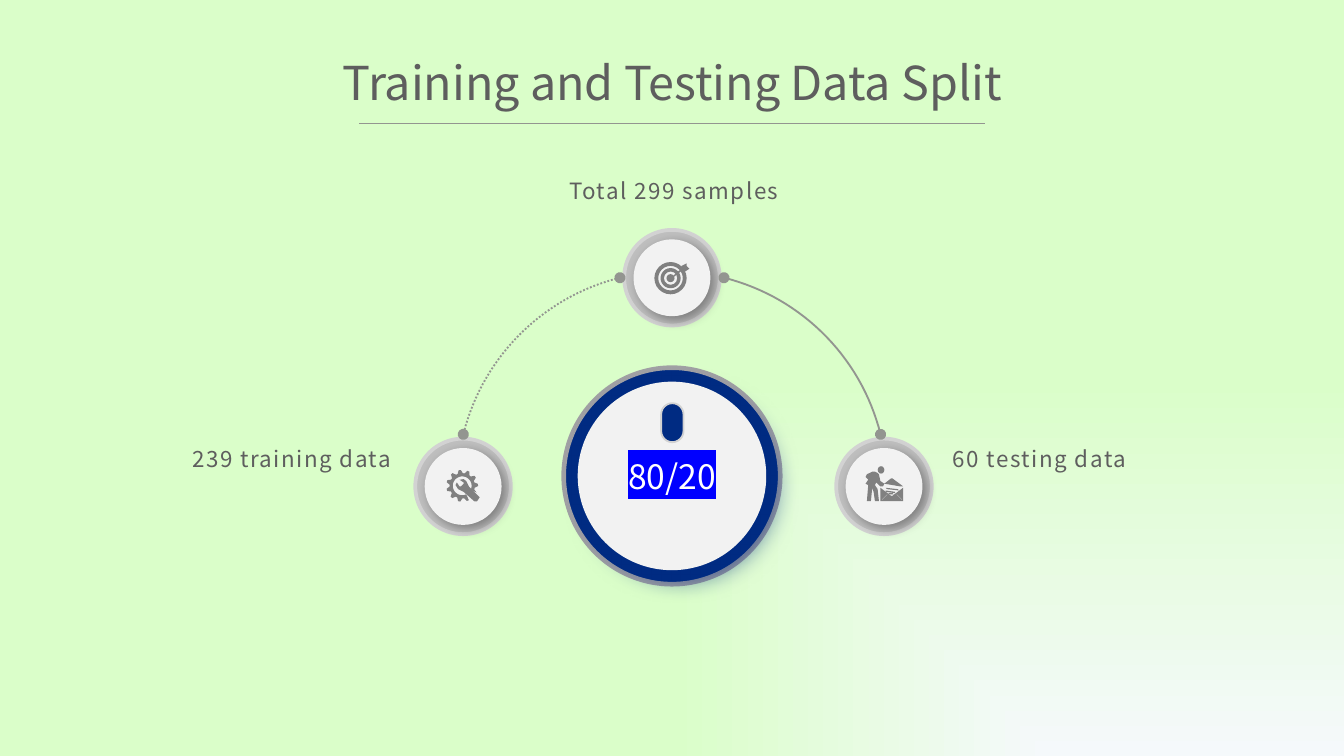
import math

from pptx import Presentation
from pptx.dml.color import RGBColor
from pptx.enum import dml, shapes, text
from pptx.oxml import ns, parse_xml
from pptx.util import Pt

COLORS = {
    "mist": "F5F9FB", "mint": "DAFEC9", "ink": "5E5E5E", "rule": "939590",
    "navy": "002B82", "disc": "F2F2F2", "ring": "BFBFBF", "icon": "808080",
    "big_edge": "A0A0A4", "small_edge": "D2D2D2", "shade": "595959",
    "white": "FFFFFF", "mark": "0000FF",
}
FONT = "Noto Sans CJK SC"
ICON_UNIT = 0.72
KIND = shapes.MSO_SHAPE
ALIGN = text.PP_ALIGN


def color(name):
    return RGBColor.from_string(COLORS[name])


def element(markup):
    head, space, rest = markup.partition(" ")
    return parse_xml(f"{head} {ns.nsdecls('a')} {rest}")


def paint(shape, fill, edge=None, width=0):
    shape.shadow.inherit = False
    if fill:
        shape.fill.solid()
        shape.fill.fore_color.rgb = color(fill)
    else:
        shape.fill.background()
    if edge:
        shape.line.color.rgb = color(edge)
        shape.line.width = Pt(width)
    else:
        shape.line.fill.background()
    return shape


def add_form(parent, kind, box, fill, edge=None, width=0):
    shape = parent.shapes.add_shape(kind, *map(Pt, box))
    return paint(shape, fill, edge, width)


def add_outline(parent, contours, closed=True):
    builder = None
    for contour in contours:
        points = [(Pt(x), Pt(y)) for x, y in contour]
        if builder is None:
            builder = parent.shapes.build_freeform(*points[0])
        else:
            builder.move_to(*points[0])
        builder.add_line_segments(points[1:], close=closed)
    return builder.convert_to_shape()


def add_shadow(shape, name, blur, distance):
    effects = shape.element.spPr.find(ns.qn("a:effectLst"))
    effects.append(element(
        f'<a:outerShdw blurRad="{Pt(blur)}" dist="{Pt(distance)}" dir="2700000" algn="tl" rotWithShape="0">'
        f'<a:srgbClr val="{COLORS[name]}"><a:alpha val="64000"/></a:srgbClr></a:outerShdw>'))


def style_text(para, size, name, align):
    para.alignment = align
    span = para.runs[0]
    span.font.name = FONT
    span.font.size = Pt(size)
    span.font.color.rgb = color(name)
    return span


def add_text(page, box, words, size, align, margins=(0, 0), spacing=0):
    label = page.shapes.add_textbox(*map(Pt, box))
    frame = label.text_frame
    frame.word_wrap = True
    frame.margin_left = frame.margin_right = Pt(margins[0])
    frame.margin_top = frame.margin_bottom = Pt(margins[1])
    frame.text = words
    span = style_text(frame.paragraphs[0], size, "ink", align)
    if spacing:
        span.font._element.set("spc", str(spacing))


def draw_background(page):
    fill = page.background.fill
    fill.gradient()
    for stop, name in zip(fill.gradient_stops, ("mist", "mint")):
        stop.color.rgb = color(name)
    direction = next(page.element.iter(ns.qn("a:lin")))
    direction.getparent().replace(direction, element(
        '<a:path path="rect"><a:fillToRect l="100000" t="100000"/></a:path>'.replace("<a:path ", "<a:path ", 1)))


def draw_title(page, box):
    left, top, width, height = box
    add_text(page, box, "Training and Testing Data Split", 25, ALIGN.CENTER)
    middle, half, base = left + width / 2, 167.8, top + height
    rule = page.shapes.add_connector(
        shapes.MSO_CONNECTOR.STRAIGHT, Pt(middle - half), Pt(base), Pt(middle + half), Pt(base))
    rule.line.color.rgb = color("rule")
    rule.line.width = Pt(0.75)
    rule.element.spPr.append(element("<a:effectLst />"))


def draw_dial(page, box):
    left, top, size, _ = box
    dial = page.shapes.add_group_shape()
    add_form(dial, KIND.OVAL, box, "navy", "big_edge", 2.5)
    inset = 7.5
    face = add_form(dial, KIND.OVAL, (left + inset, top + inset, size - 2 * inset, size - 2 * inset), "disc")
    add_shadow(face, "navy", 13, 7)
    frame = face.text_frame
    frame.vertical_anchor = text.MSO_ANCHOR.MIDDLE
    frame.text = "80/20"
    span = style_text(frame.paragraphs[0], 18, "white", ALIGN.CENTER)
    fill = span.font._element.find(ns.qn("a:solidFill"))
    fill.addnext(element(f'<a:highlight ><a:srgbClr val="{COLORS["mark"]}"/></a:highlight>'))


def draw_pointer(page, box):
    add_form(page, KIND.ROUNDED_RECTANGLE, box, "navy", "small_edge", 1).adjustments[0] = 0.5


def draw_node(page, box):
    left, top, size, _ = box
    node = page.shapes.add_group_shape()
    inset = 5
    rim = add_form(node, KIND.ROUNDED_RECTANGLE, box, "ring", "small_edge", 2)
    face = add_form(node, KIND.ROUNDED_RECTANGLE,
                    (left + inset, top + inset, size - 2 * inset, size - 2 * inset), "disc")
    rim.adjustments[0] = face.adjustments[0] = 0.5
    add_shadow(face, "shade", 6, 3)


def draw_arc(page, center, radius, start, dash=None):
    angles = [math.radians(start + 2 * step) for step in range(32)]
    points = [(center[0] + radius * math.cos(a), center[1] + radius * math.sin(a)) for a in angles]
    arc = paint(add_outline(page, [points], closed=False), None, "rule", 1)
    if dash:
        arc.line.dash_style = dash
    line = arc.element.spPr.find(ns.qn("a:ln"))
    for end in ("headEnd", "tailEnd"):
        line.append(element(f'<a:{end} type="oval"/>'))


def icon_outline(icon, origin, *contours):
    placed = [[(origin[0] + x * ICON_UNIT, origin[1] + y * ICON_UNIT) for x, y in contour]
              for contour in contours]
    paint(add_outline(icon, placed), "icon")


def icon_form(icon, origin, kind, box):
    x, y, width, height = (value * ICON_UNIT for value in box)
    return add_form(icon, kind, (origin[0] + x, origin[1] + y, width, height), "icon")


def draw_target(page, origin):
    icon = page.shapes.add_group_shape()
    for radius, thickness in ((12, 0.12), (7.5, 0.17)):
        ring = icon_form(icon, origin, KIND.DONUT, (12 - radius, 12 - radius, 2 * radius, 2 * radius))
        ring.adjustments[0] = thickness
    icon_form(icon, origin, KIND.OVAL, (9, 9, 6, 6))
    icon_outline(icon, origin, [(12, 12), (20, 5), (20, 3), (24, 1), (24, 3), (26, 5),
                                (23, 7), (21, 6), (12, 13)])


def draw_gear(page, origin):
    icon = page.shapes.add_group_shape()

    def spoke(step, radius):
        angle = math.radians(65 + 8 * step)
        return 12 + radius * math.cos(angle), 11.5 + radius * math.sin(angle)

    outer = [spoke(step, 11.8 if step % 4 < 2 else 9.4) for step in range(41)]
    inner = [spoke(step, 7) for step in reversed(range(41))]
    icon_outline(icon, origin, outer + inner)
    icon_outline(icon, origin, [
        (25, 20), (24, 19), (17, 12), (15, 8), (13, 6.5), (10, 7), (13, 9), (13, 10), (11, 12),
        (10, 12), (8, 9), (7, 11), (9, 14), (13, 16), (21, 23), (23, 23)])


def draw_courier(page, origin):
    icon = page.shapes.add_group_shape()
    icon_form(icon, origin, KIND.OVAL, (9, 0, 5, 5.5))
    icon_outline(icon, origin, [
        (1, 6), (5, 4), (7, 4), (9, 5), (10, 6), (11, 11), (14, 13), (19, 9), (20, 9), (28, 15),
        (26, 15), (14, 13), (13, 15), (11, 15), (9, 13), (8, 12), (7, 14), (9, 17), (10, 26),
        (7, 26), (6, 19), (5, 16), (4, 26), (1, 26), (2, 14), (0, 13), (2, 10), (0, 8)])
    icon_outline(icon, origin,
                 [(11, 16), (19, 22), (20, 22), (28, 16), (28, 26), (11, 26)],
                 [(16, 21), (12, 25), (12.5, 25), (16.5, 21)],
                 [(23, 21), (27, 25), (27.5, 25), (23.5, 21)])
    for stroke in ([(15, 16), (24, 17), (25, 18), (16, 17)],
                   [(15, 18), (22, 19), (22, 20), (15, 19)],
                   [(17, 20), (20, 20), (21, 21), (18, 21)]):
        icon_outline(icon, origin, stroke)


def main():
    deck = Presentation()
    deck.slide_width, deck.slide_height = Pt(720), Pt(405)
    page = deck.slides.add_slide(deck.slide_layouts[6])
    draw_background(page)
    draw_title(page, (150.3, 28.8, 419.7, 37.5))
    draw_dial(page, (302, 197, 116, 116))
    for left, top in ((222.5, 235), (448, 235), (334.4, 123.2)):
        draw_node(page, (left, top, 51.2, 51.2))
    draw_arc(page, (360, 260.6), 115.2, 194, dml.MSO_LINE.ROUND_DOT)
    draw_arc(page, (360, 260.6), 115.2, 284)
    for left, top, words, align in (
            (291.6, 92.9, "Total 299 samples", ALIGN.CENTER),
            (503.3, 236.9, "60 testing data", ALIGN.LEFT),
            (77.8, 236.9, "239 training data", ALIGN.RIGHT)):
        add_text(page, (left, top, 139, 21.6), words, 12, align, (7.2, 1.8), 80)
    draw_pointer(page, (354.2, 216, 12, 20.9))
    draw_target(page, (350.6, 140.4))
    draw_gear(page, (239, 252))
    draw_courier(page, (463.7, 249.8))
    deck.save("out.pptx")


if __name__ == "__main__":
    main()
